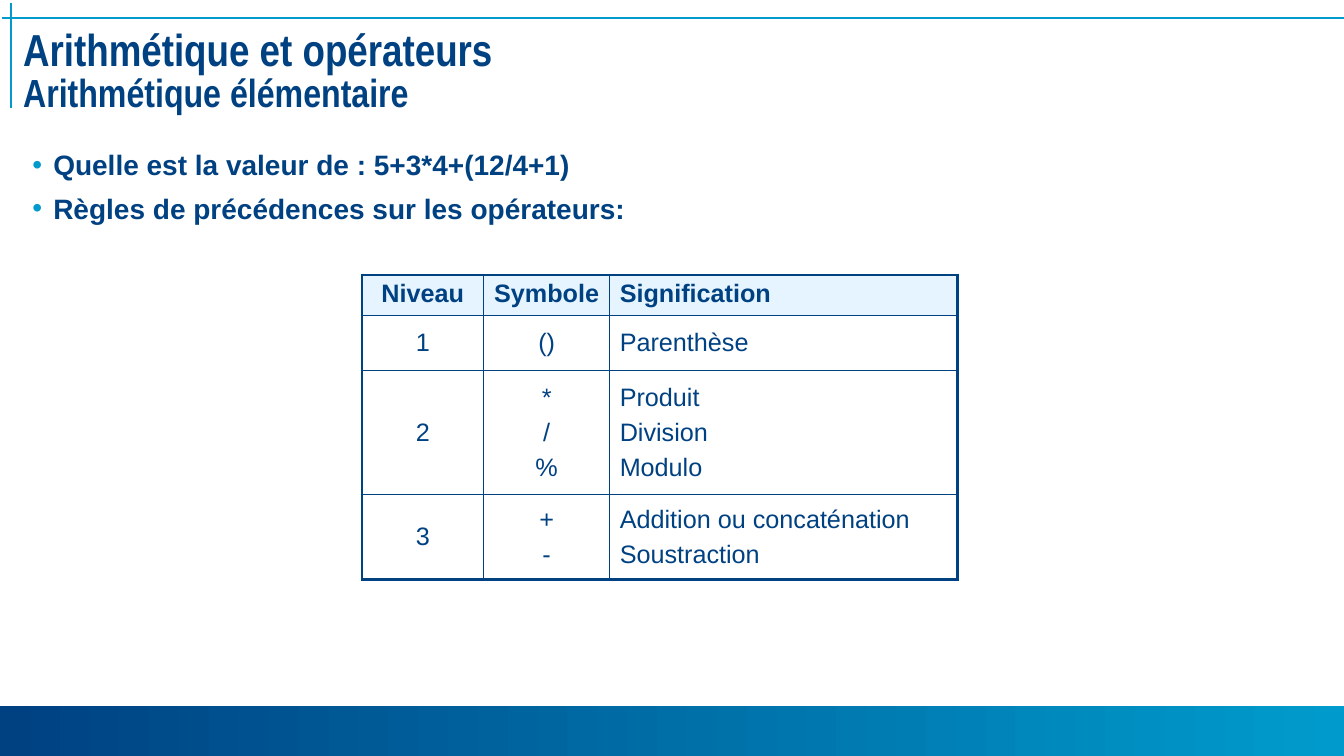
from lxml.etree import SubElement
from pptx import Presentation
from pptx.dml.color import RGBColor
from pptx.enum.shapes import MSO_CONNECTOR as Connector, MSO_SHAPE as Shape
from pptx.enum.text import MSO_ANCHOR as Anchor, PP_ALIGN as Align
from pptx.oxml.ns import qn
from pptx.util import Pt

NAVY, CYAN, PALE, WHITE = "004182", "009BCC", "E6F4FF", "FFFFFF"
THIN, THICK = 1, 2.25
COLUMNS = [87, 90, 248.5]
ROWS = [
    (29, [["Niveau"], ["Symbole"], ["Signification"]]),
    (39, [["1"], ["()"], ["Parenthèse"]]),
    (89, [["2"], ["*", "/", "%"], ["Produit", "Division", "Modulo"]]),
    (60.5, [["3"], ["+", "-"], ["Addition ou concaténation", "Soustraction"]]),
]


def color(hex_code):
    return RGBColor.from_string(hex_code)


def add_span(para, text, size, bold=True, font="Arial"):
    span = para.add_run()
    span.text = text
    span.font.size = Pt(size)
    span.font.bold = bold
    span.font.name = font
    span.font.color.rgb = color(NAVY)


def add_paras(frame, texts, size, bold, gap):
    """Fill the frame with one paragraph per text, gap points apart."""
    for index, text in enumerate(texts):
        para = frame.add_paragraph() if index else frame.paragraphs[0]
        para.space_before = Pt(gap if index else 0)
        add_span(para, text, size, bold)


def add_text_frame(page, left, top, width, height):
    frame = page.shapes.add_textbox(Pt(left), Pt(top), Pt(width), Pt(height)).text_frame
    frame.word_wrap = True
    return frame


def add_rule(page, x1, y1, x2, y2):
    rule = page.shapes.add_connector(Connector.STRAIGHT, Pt(x1), Pt(y1), Pt(x2), Pt(y2))
    rule.line.color.rgb = color(CYAN)
    rule.line.width = Pt(THIN)
    SubElement(rule._element.spPr, qn("a:effectLst"))


def add_footer_band(page, left, top, width, height):
    band = page.shapes.add_shape(Shape.RECTANGLE, Pt(left), Pt(top), Pt(width), Pt(height))
    band.shadow.inherit = False
    band.line.fill.background()
    band.fill.gradient()
    band.fill.gradient_angle = 0
    for stop, shade in zip(band.fill.gradient_stops, (NAVY, CYAN)):
        stop.color.rgb = color(shade)


def add_title(page, left, top, width, height):
    frame = add_text_frame(page, left, top, width, height)
    frame.vertical_anchor = Anchor.MIDDLE
    para = frame.paragraphs[0]
    para.line_spacing = 0.85
    add_span(para, "Arithmétique et opérateurs", 32, font="Arial Narrow")
    para.add_line_break()
    add_span(para, "Arithmétique élémentaire", 28, font="Arial Narrow")


def add_bullets(page, left, top, width, height, texts):
    frame = add_text_frame(page, left, top, width, height)
    add_paras(frame, texts, 20, True, 7)
    for para in frame.paragraphs:
        props = para._p.get_or_add_pPr()
        props.set("marL", str(Pt(15)))
        props.set("indent", str(Pt(-15)))
        tint = SubElement(props, qn("a:buClr"))
        SubElement(tint, qn("a:srgbClr"), val=CYAN)
        SubElement(props, qn("a:buFont"), typeface="Arial")
        SubElement(props, qn("a:buChar"), char="•")


def set_borders(cell, widths):
    """Draw the left, right, top and bottom borders, in that order."""
    props = cell._tc.get_or_add_tcPr()
    for index, (side, width) in enumerate(zip("LRTB", widths)):
        line = props.makeelement(qn(f"a:ln{side}"), {"w": str(Pt(width))})
        fill = SubElement(line, qn("a:solidFill"))
        SubElement(fill, qn("a:srgbClr"), val=NAVY)
        props.insert(index, line)


def add_precedence_table(page, left, top):
    width, height = sum(COLUMNS), sum(tall for tall, _ in ROWS)
    last_row, last_col = len(ROWS) - 1, len(COLUMNS) - 1
    table = page.shapes.add_table(
        len(ROWS), len(COLUMNS), Pt(left), Pt(top), Pt(width), Pt(height)).table
    for column, wide in zip(table.columns, COLUMNS):
        column.width = Pt(wide)
    for r, (tall, row) in enumerate(ROWS):
        table.rows[r].height = Pt(tall)
        for c, texts in enumerate(row):
            cell = table.cell(r, c)
            cell.fill.solid()
            cell.fill.fore_color.rgb = color(WHITE if r else PALE)
            cell.vertical_anchor = Anchor.MIDDLE if r else Anchor.TOP
            add_paras(cell.text_frame, texts, 18, r == 0, 5)
            for para in cell.text_frame.paragraphs:
                para.alignment = Align.LEFT if c == last_col else Align.CENTER
            outer = (c == 0, c == last_col, r == 0, r == last_row)
            set_borders(cell, [THICK if edge else THIN for edge in outer])


def main():
    deck = Presentation()
    deck.slide_width, deck.slide_height = Pt(960), Pt(540)
    page = deck.slides.add_slide(deck.slide_layouts[6])
    add_footer_band(page, 0, 504.5, 960, 37.5)
    add_rule(page, 1.5, 13, 960, 13)
    add_rule(page, 8, 2, 8, 77)
    add_title(page, 9.5, 16, 944, 72.5)
    add_bullets(page, 16, 102, 928, 366, [
        "Quelle est la valeur de : 5+3*4+(12/4+1)",
        "Règles de précédences sur les opérateurs:",
    ])
    add_precedence_table(page, 258.5, 196.5)
    deck.save("out.pptx")


if __name__ == "__main__":
    main()
